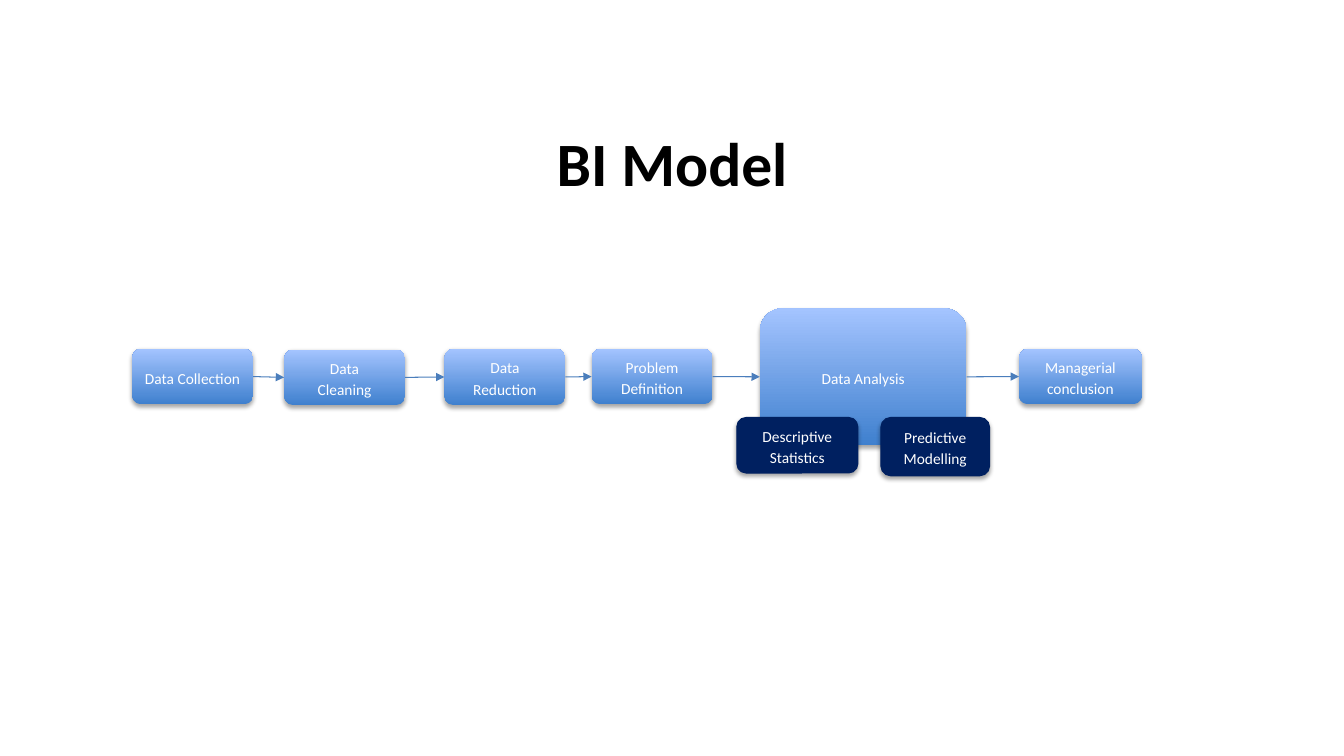
from lxml import etree
from pptx import Presentation
from pptx import util as u
from pptx.dml.color import RGBColor
from pptx.enum import shapes, text
from pptx.oxml.ns import qn

FONT = "Calibri"
COLORS = {
    "title": "000000", "label": "FFFFFF", "light": "A4C4FF", "dark": "3F80CE",
    "navy": "002060", "arrow": "4B7EBC", "shadow": "000000",
}
TITLE = ("BI Model", (1.7, 2.49, 30.48, 3.18))

# Paragraphs, (left, top, width, height) in cm, space after in points
STEPS = [
    (["Data Collection"], (3.33, 8.79, 3.05, 1.4), 10),
    (["Data", "Cleaning"], (7.16, 8.81, 3.05, 1.4), 0),
    (["Data", "Reduction"], (11.2, 8.79, 3.05, 1.42), 0),
    (["Problem Definition"], (14.91, 8.79, 3.05, 1.4), 0),
    (["Data Analysis"], (19.15, 7.77, 5.21, 3.45), 0),
    (["Managerial", "conclusion"], (25.68, 8.79, 3.1, 1.4), 0),
]
METHODS = [
    (["Descriptive Statistics"], (18.57, 10.52, 3.05, 1.4), 0),
    (["Predictive Modelling"], (22.2, 10.52, 2.74, 1.47), 0),
]


def rgb(name):
    return RGBColor.from_string(COLORS[name])


def write(sp, lines, size, color, bold=False, spacing=1.0, after=0):
    tf = sp.text_frame
    tf.word_wrap = True
    tf.vertical_anchor = text.MSO_ANCHOR.MIDDLE
    for i, line in enumerate(lines):
        p = tf.add_paragraph() if i else tf.paragraphs[0]
        p.alignment = text.PP_ALIGN.CENTER
        p.line_spacing = spacing
        p.space_after = u.Pt(after)
        r = p.add_run()
        r.text = line
        r.font.name, r.font.size, r.font.bold = FONT, u.Pt(size), bold
        r.font.color.rgb = rgb(color)


def add_shadow(sp):
    sp.shadow.inherit = False
    effects = sp.element.spPr.find(qn("a:effectLst"))
    shadow = etree.SubElement(effects, qn("a:outerShdw"), blurRad="40000",
                              dist="23000", dir="5400000", rotWithShape="0")
    color = etree.SubElement(shadow, qn("a:srgbClr"), val=COLORS["shadow"])
    etree.SubElement(color, qn("a:alpha"), val="35000")


def add_box(s, lines, box, after, navy=False):
    sp = s.shapes.add_shape(shapes.MSO_SHAPE.ROUNDED_RECTANGLE, *map(u.Cm, box))
    if navy:
        sp.fill.solid()
        sp.fill.fore_color.rgb = rgb("navy")
        sp.line.color.rgb = rgb("navy")
        sp.line.width = u.Pt(0.75)
    else:
        sp.fill.gradient()
        sp.fill.gradient_angle = 90
        for stop, name in zip(sp.fill.gradient_stops, ("dark", "light")):
            stop.color.rgb = rgb(name)
        sp.line.fill.background()
    add_shadow(sp)
    write(sp, lines, 11, "label", spacing=1.15, after=after)
    return sp


def add_arrow(s, start, end):
    c = s.shapes.add_connector(shapes.MSO_CONNECTOR.STRAIGHT, 0, 0, 0, 0)
    c.begin_connect(start, 3)
    c.end_connect(end, 1)
    c.line.color.rgb = rgb("arrow")
    c.line.width = u.Pt(0.75)
    etree.SubElement(c.line._get_or_add_ln(), qn("a:tailEnd"), type="triangle")
    etree.SubElement(c._element.spPr, qn("a:effectLst"))


def main():
    prs = Presentation()
    prs.slide_width, prs.slide_height = u.Cm(33.87), u.Cm(19.05)
    s = prs.slides.add_slide(prs.slide_layouts[6])

    # Title
    title, box = TITLE
    write(s.shapes.add_textbox(*map(u.Cm, box)), [title], 44, "title", bold=True)

    # Process steps, with the analysis methods on top
    steps = [add_box(s, *step) for step in STEPS]
    for method in METHODS:
        add_box(s, *method, navy=True)

    # Arrows from each step to the next
    for start, end in zip(steps, steps[1:]):
        add_arrow(s, start, end)

    prs.save("out.pptx")


if __name__ == "__main__":
    main()
